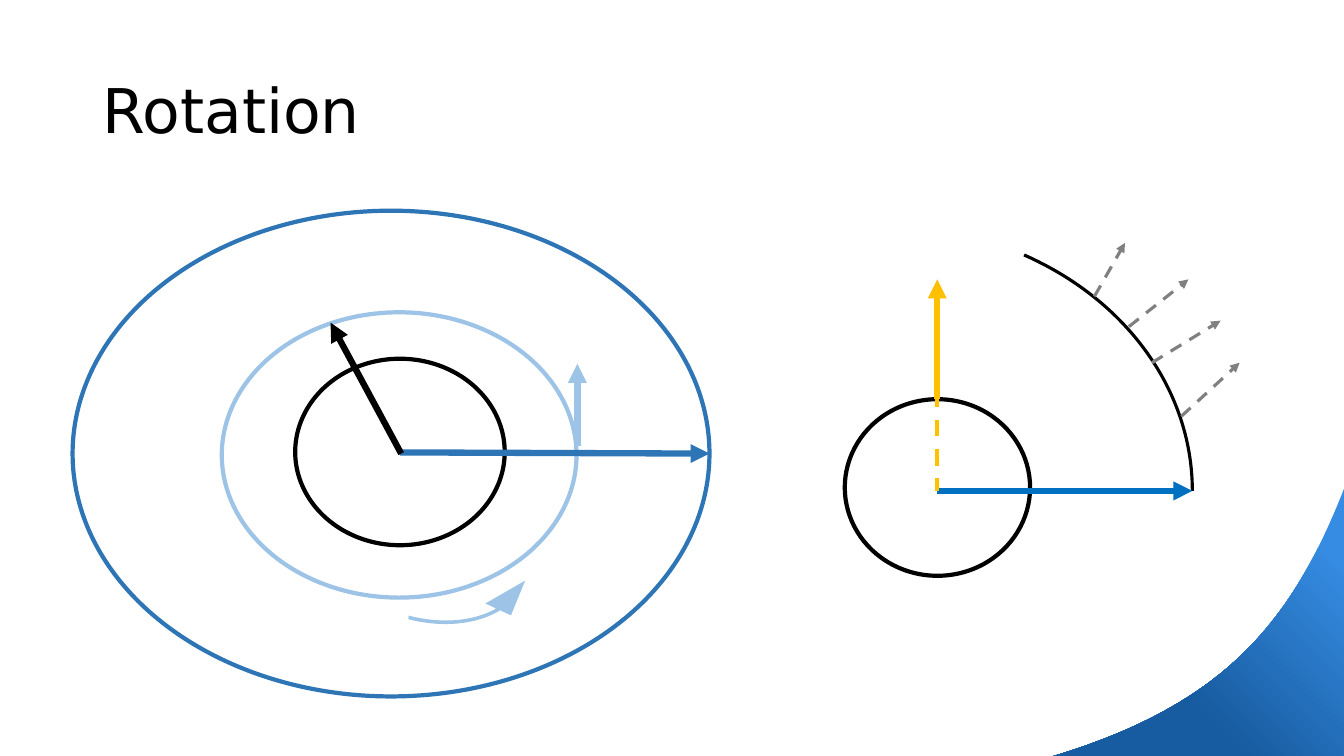
from lxml import etree
from pptx import Presentation
from pptx.dml.color import RGBColor
from pptx.enum.dml import MSO_LINE_DASH_STYLE as DASH
from pptx.enum.shapes import MSO_CONNECTOR, MSO_SHAPE as SHAPE
from pptx.enum.text import MSO_ANCHOR, PP_ALIGN
from pptx.oxml.ns import qn
from pptx.util import Cm, Pt


def rgb(value):
    return RGBColor.from_string(value)


def outline(s, color, width, dashed=False):
    s.line.color.rgb = rgb(color)
    s.line.width = Pt(width)
    if dashed:
        s.line.dash_style = DASH.DASH


BLACK, BLUE, LIGHT, AMBER, GRAY = "000000", "2E75B6", "9DC3E6", "FFC000", "808080"

prs = Presentation()
prs.slide_width, prs.slide_height = Cm(33.87), Cm(19.05)
slide = prs.slides.add_slide(prs.slide_layouts[5])

title = slide.shapes.title
title.left, title.top, title.width, title.height = Cm(2.33), Cm(1.02), Cm(29.21), Cm(3.68)
tf = title.text_frame
tf.text = "Rotation"
tf.vertical_anchor = MSO_ANCHOR.MIDDLE
p = tf.paragraphs[0]
p.alignment = PP_ALIGN.LEFT
p.line_spacing = 0.9
p.font.name, p.font.size = "DejaVu Sans", Pt(44)
p.font.color.rgb = rgb(BLACK)

curve = [(33.91, 12.22), (32.56, 15.7), (30.86, 17.81), (26.29, 19.13)]
steps = 40
corner_points = []
for i in range(steps + 1):
    t = i / steps
    weights = [(1 - t) ** 3, 3 * t * (1 - t) ** 2, 3 * t ** 2 * (1 - t), t ** 3]
    x, y = [sum(w * c for w, c in zip(weights, axis)) for axis in zip(*curve)]
    corner_points.append((Cm(x), Cm(y)))
builder = slide.shapes.build_freeform(Cm(33.88), Cm(19.13))
builder.add_line_segments(corner_points)
corner = builder.convert_to_shape()
corner.shadow.inherit = False
corner.line.fill.background()
corner.fill.gradient()
corner.fill.gradient_angle = 225
for stop, position, color in zip(corner.fill.gradient_stops, (0.14, 0.65), ("368CE2", "175BA0")):
    stop.position = position
    stop.color.rgb = rgb(color)

orbits = slide.shapes.add_group_shape()
launch = slide.shapes.add_group_shape()

for group, color, x, y, w, h in [
    (orbits, BLUE, 1.83, 5.31, 16.05, 12.24),
    (orbits, LIGHT, 5.59, 7.87, 8.94, 7.19),
    (orbits, BLACK, 7.44, 9.04, 5.28, 4.7),
    (launch, BLACK, 21.29, 10.06, 4.67, 4.45),
]:
    s = group.shapes.add_shape(SHAPE.OVAL, Cm(x), Cm(y), Cm(w), Cm(h))
    s.shadow.inherit = False
    s.fill.background()
    outline(s, color, 3)

spin = orbits.shapes.add_shape(SHAPE.CIRCULAR_ARROW, Cm(7.06), Cm(10.85), Cm(6.81), Cm(5))
spin.shadow.inherit = False
spin.fill.solid()
spin.fill.fore_color.rgb = rgb(LIGHT)
spin.line.fill.background()
spin.rotation = 204.8
spin._element.spPr.find(qn("a:xfrm")).set("flipH", "1")
for i, value in enumerate((0.018, 11.423, 204.577, 174.222, 0.071)):
    spin.adjustments[i] = value

arc = launch.shapes.add_shape(SHAPE.ARC, Cm(14.45), Cm(5.69), Cm(15.6), Cm(13.36))
arc.shadow.inherit = False
arc.fill.background()
arc.adjustments[0], arc.adjustments[1] = 180.55, 0
outline(arc, BLACK, 2.25)

for group, color, width, dashed, arrow, x1, y1, x2, y2 in [
    (orbits, BLUE, 4.5, False, True, 10.08, 11.4, 17.88, 11.43),
    (orbits, LIGHT, 4.5, False, True, 14.55, 11.25, 14.55, 9.17),
    (orbits, BLACK, 4.5, False, True, 10.11, 11.43, 8.33, 8.13),
    (launch, AMBER, 4.5, False, True, 23.62, 10.06, 23.62, 7.04),
    (launch, "0070C0", 4.5, False, True, 23.62, 12.37, 30.05, 12.37),
    (launch, AMBER, 3, True, False, 23.62, 9.83, 23.62, 12.37),
    (launch, GRAY, 2.25, True, True, 28.45, 8.23, 29.95, 7.04),
    (launch, GRAY, 2.25, True, True, 29.03, 9.14, 30.76, 8.08),
    (launch, GRAY, 2.25, True, True, 27.58, 7.47, 28.35, 6.12),
    (launch, GRAY, 2.25, True, True, 29.77, 10.49, 31.24, 9.14),
]:
    s = group.shapes.add_connector(MSO_CONNECTOR.STRAIGHT, Cm(x1), Cm(y1), Cm(x2), Cm(y2))
    outline(s, color, width, dashed)
    spPr = s._element.spPr
    if arrow:
        etree.SubElement(spPr.find(qn("a:ln")), qn("a:tailEnd"), type="triangle")
    etree.SubElement(spPr, qn("a:effectLst"))

prs.save("out.pptx")
